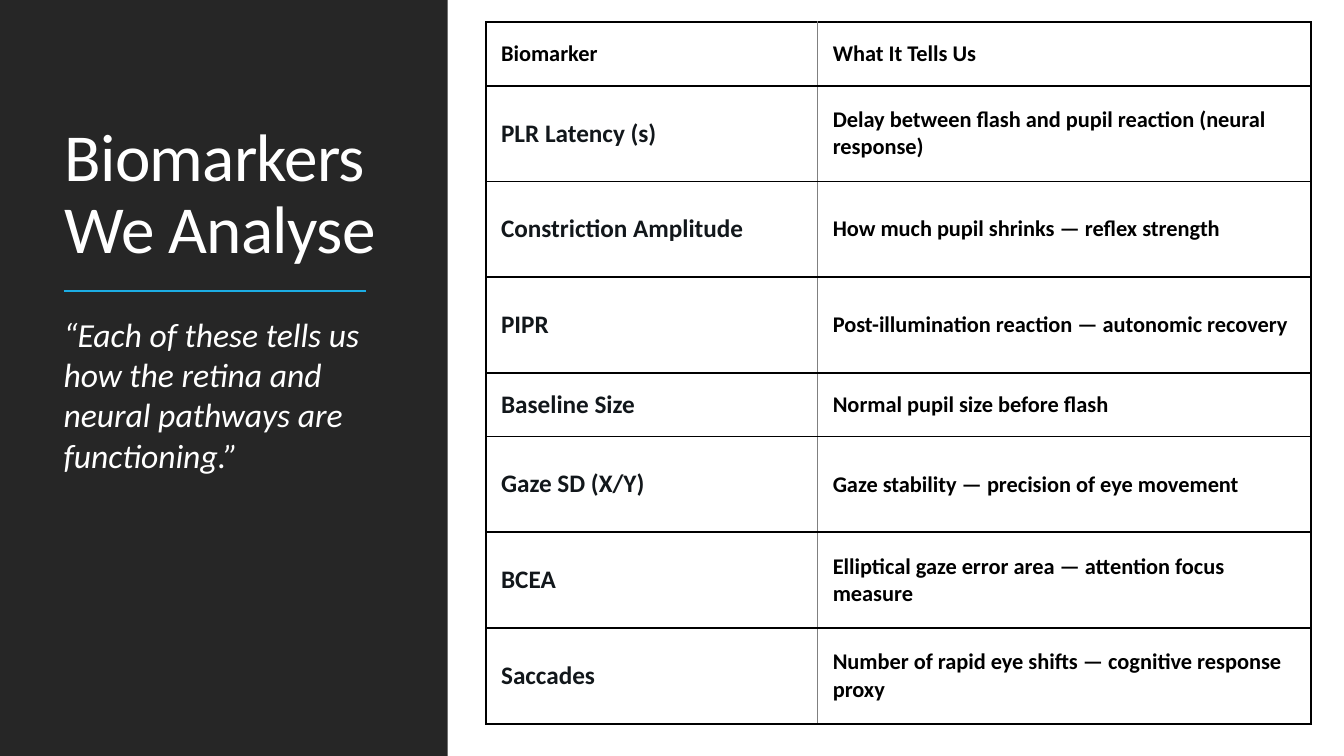
from pptx import Presentation
from pptx.dml.color import RGBColor
from pptx.enum import shapes, text
from pptx.oxml import parse_xml, ns
from pptx.util import Inches, Pt

HUES = {
    "dark": "262626",
    "white": "FFFFFF",
    "blue": "1CADE4",
    "black": "000000",
    "ink": "12171B",
    "gray": "808080",
}
FONT = "Calibri"
ROWS = [
    ("Biomarker", "What It Tells Us"),
    ("PLR Latency (s)", "Delay between flash and pupil reaction (neural response)"),
    ("Constriction Amplitude", "How much pupil shrinks — reflex strength"),
    ("PIPR", "Post-illumination reaction — autonomic recovery"),
    ("Baseline Size", "Normal pupil size before flash"),
    ("Gaze SD (X/Y)", "Gaze stability — precision of eye movement"),
    ("BCEA", "Elliptical gaze error area — attention focus measure"),
    ("Saccades", "Number of rapid eye shifts — cognitive response proxy"),
]
SHORT = (0, 4)


def hue(name):
    return RGBColor.from_string(HUES[name])


def add_run(para, words, size, color, bold=False, italic=False):
    run = para.add_run()
    run.text = words
    font = run.font
    font.name, font.size = FONT, Pt(size)
    font.bold, font.italic = bold, italic
    font.color.rgb = hue(color)
    return run


def place(shape, x, y, w, h):
    shape.left, shape.top = Inches(x), Inches(y)
    shape.width, shape.height = Inches(w), Inches(h)


def fill_title(title, x, y, w, h):
    place(title, x, y, w, h)
    frame = title.text_frame
    frame.word_wrap = True
    frame.auto_size = text.MSO_AUTO_SIZE.NONE
    frame.vertical_anchor = text.MSO_ANCHOR.BOTTOM
    para = frame.paragraphs[0]
    para.alignment = text.PP_ALIGN.LEFT
    para.line_spacing = 0.9
    run = add_run(para, "Biomarkers We Analyse", 48, "white")
    run.font._element.set("spc", "-50")


def fill_quote(body, x, y, w, h):
    place(body, x, y, w, h)
    frame = body.text_frame
    frame.word_wrap = True
    frame.auto_size = text.MSO_AUTO_SIZE.NONE
    frame.vertical_anchor = text.MSO_ANCHOR.TOP
    frame.margin_left = frame.margin_right = 0
    para = frame.paragraphs[0]
    props = para._p.get_or_add_pPr()
    props.set("marL", "0")
    props.set("indent", "0")
    props.append(parse_xml(f"<a:buNone {ns.nsdecls('a')}/>"))
    para.alignment = text.PP_ALIGN.LEFT
    para.space_before, para.space_after = Pt(0), Pt(6)
    words = "“Each of these tells us how the retina and neural pathways are functioning.”"
    add_run(para, words, 24, "white", italic=True)


def add_panel(slide, x, y, w, h):
    title, body = slide.shapes.title, slide.placeholders[1]
    panel = slide.shapes.add_shape(
        shapes.MSO_SHAPE.RECTANGLE, Inches(x), Inches(y), Inches(w), Inches(h))
    panel.shadow.inherit = False
    panel.fill.solid()
    panel.fill.fore_color.rgb = hue("dark")
    panel.line.fill.background()
    title.element.addprevious(panel.element)
    fill_title(title, x + 0.54, y + 0.57, w - 0.64, 2.14)
    left, mid = Inches(x + 0.63), Inches(y + 2.89)
    rule = slide.shapes.add_connector(
        shapes.MSO_CONNECTOR.STRAIGHT, left, mid, left + Inches(3), mid)
    rule.line.color.rgb = hue("blue")
    rule.line.width = Pt(1.5)
    rule.element.spPr.append(parse_xml(f"<a:effectLst {ns.nsdecls('a')}/>"))
    fill_quote(body, x + 0.63, y + 3.06, 3.29, 3.08)


def add_edges(cell, inner):
    props = cell._tc.get_or_add_tcPr()
    for side in "LRTB":
        color, width = ("gray", 0.5) if side == inner else ("black", 1.5)
        props.append(parse_xml(
            f"<a:ln{side} {ns.nsdecls('a')} w='{Pt(width)}'><a:solidFill>"
            f"<a:srgbClr val='{HUES[color]}'/></a:solidFill></a:ln{side}>"))


def add_grid(slide, x, y, w, h):
    frame = slide.shapes.add_table(
        len(ROWS), 2, Inches(x), Inches(y), Inches(w), Inches(h))
    table = frame.table
    table.first_row = table.horz_banding = False
    table.columns[0].width = Inches(3.29)
    table.columns[1].width = Inches(w - 3.29)
    for i, words in enumerate(ROWS):
        table.rows[i].height = Inches(0.63 if i in SHORT else 0.95)
        for j, word in enumerate(words):
            cell = table.cell(i, j)
            cell.vertical_anchor = text.MSO_ANCHOR.MIDDLE
            cell.margin_left = Inches(0.15)
            cell.margin_right = cell.margin_top = cell.margin_bottom = Inches(0.12)
            add_edges(cell, "RL"[j])
            cell.fill.background()
            size, color = (18, "ink") if i and not j else (16, "black")
            add_run(cell.text_frame.paragraphs[0], word, size, color, bold=True)


def main():
    deck = Presentation()
    deck.slide_width, deck.slide_height = Inches(13.33), Inches(7.5)
    slide = deck.slides.add_slide(deck.slide_layouts[1])
    back = slide.background.fill
    back.solid()
    back.fore_color.rgb = hue("white")
    add_panel(slide, 0, 0, 4.44, 7.5)
    add_grid(slide, 4.82, 0.22, 8.18, 6.95)
    deck.save("out.pptx")


if __name__ == "__main__":
    main()
